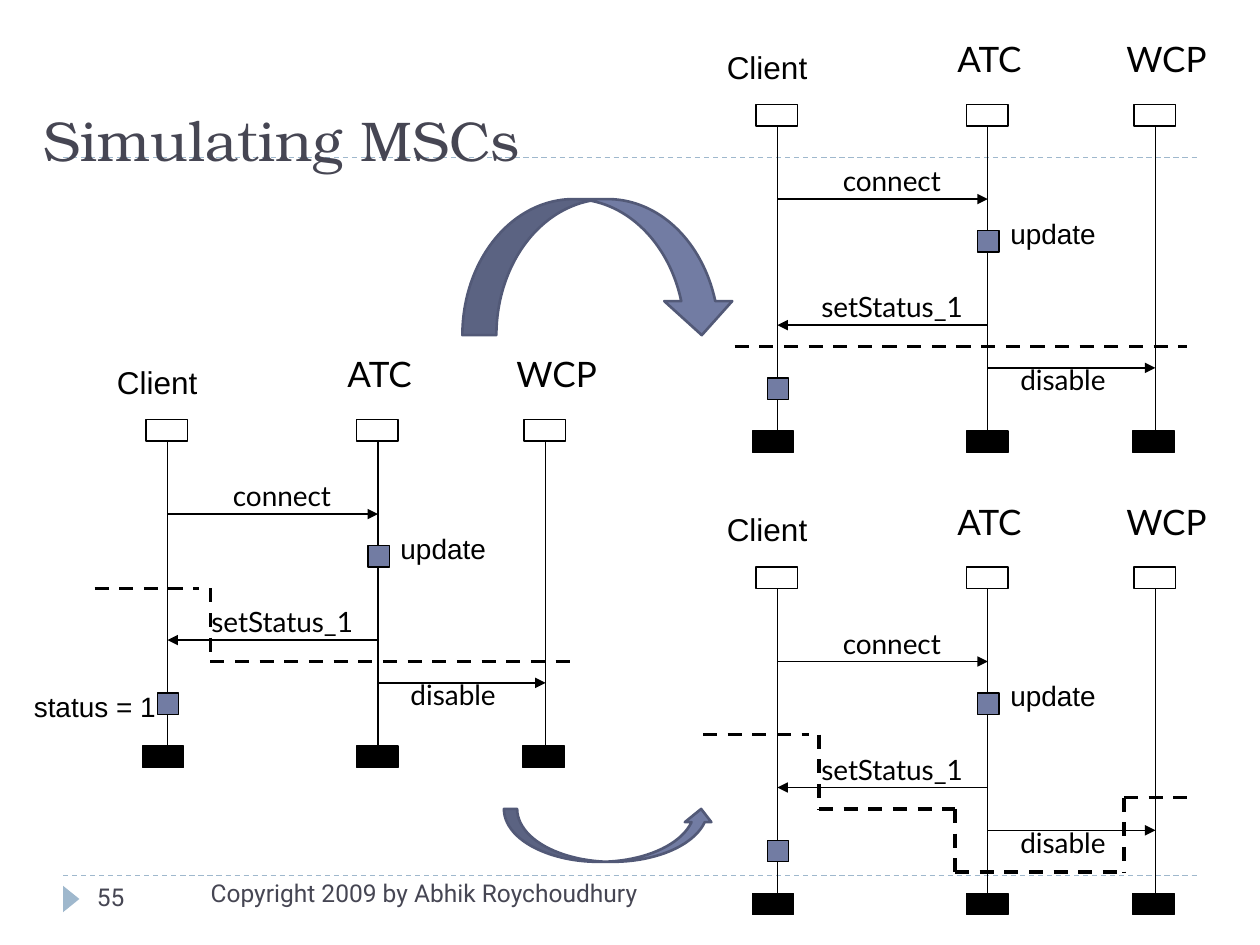
from lxml import etree
from pptx import Presentation
from pptx.dml.color import RGBColor
from pptx.enum import dml, shapes, text
from pptx.oxml import ns
from pptx.util import Inches, Pt

COLORS = {"ink": "000000", "heading": "464653", "rule": "9FB8CD",
          "action": "727CA3", "edge": "525977"}

deck = Presentation()
deck.slide_width, deck.slide_height = Inches(10), Inches(7.5)
slide = deck.slides.add_slide(deck.slide_layouts[6])


def add_line(x1, y1, x2, y2, color="ink", width=0.75, dashed=False, arrow=False):
    connector = slide.shapes.add_connector(
        shapes.MSO_CONNECTOR.STRAIGHT, Inches(x1), Inches(y1), Inches(x2), Inches(y2))
    connector.line.color.rgb = RGBColor.from_string(COLORS[color])
    connector.line.width = Pt(width)
    if dashed:
        connector.line.dash_style = dml.MSO_LINE.DASH
    if arrow:
        etree.SubElement(connector.line._get_or_add_ln(), ns.qn("a:tailEnd"), type="triangle")
    etree.SubElement(connector._element.spPr, ns.qn("a:effectLst"))


def add_label(words, x, y, w, h, size, font, color="ink",
              align=text.PP_ALIGN.LEFT, anchor=text.MSO_ANCHOR.TOP):
    frame = slide.shapes.add_textbox(Inches(x), Inches(y), Inches(w), Inches(h)).text_frame
    frame_format = {"word_wrap": True, "vertical_anchor": anchor,
                    "margin_left": Inches(0.1), "margin_right": Inches(0.1),
                    "margin_top": Inches(0.05), "margin_bottom": Inches(0.05)}
    for name, value in frame_format.items():
        setattr(frame, name, value)
    line = frame.paragraphs[0]
    line.text = words
    line.alignment = align
    for name, value in {"size": Pt(size), "name": font}.items():
        setattr(line.font, name, value)
    line.font.color.rgb = RGBColor.from_string(COLORS[color])


for rule_y in (6.95, 1.25):
    add_line(0.5, rule_y, 9.5, rule_y, color="rule", dashed=True)

add_label("Simulating MSCs", 0.25, 0.17, 8.5, 1.25, 32, "TeX Gyre Bonum", "heading",
          anchor=text.MSO_ANCHOR.BOTTOM)
add_label("Copyright 2009 by Abhik Roychoudhury", 1.33, 6.92, 3.83, 0.4, 14, "Roboto",
          "heading", text.PP_ALIGN.RIGHT)
add_label("55", 0.67, 6.95, 2.17, 0.4, 14, "Roboto", "heading")

RECT = shapes.MSO_SHAPE.RECTANGLE
charts = [(1.33, 3.33), (6.17, 0.83), (6.17, 4.5)]
lifelines = [0, 1.67, 3]
ends = [-0.2, 1.5, 2.82]
messages = [(0, 1.67, 0.75), (1.67, 0, 1.75), (1.67, 3, 2.09)]
labels = [
    ("Client", -0.5, -0.5, 1, 0.4, 18, "Arial"),
    ("ATC", 1.33, -0.58, 0.83, 0.44, 20, "Lato"),
    ("WCP", 2.67, -0.58, 0.92, 0.44, 20, "Lato"),
    ("connect", 0.42, 0.42, 1.08, 0.37, 16, "Lato"),
    ("setStatus_1", 0.25, 1.42, 1.67, 0.37, 16, "Lato"),
    ("disable", 1.83, 2, 1, 0.37, 16, "Lato"),
    ("update", 1.75, 0.84, 1.08, 0.37, 16, "Arial"),
]
actions = [(0, 2.17), (1.67, 1)]

blocks = [
    (shapes.MSO_SHAPE.ISOSCELES_TRIANGLE, 0.46, 7.07, 0.21, 0.13, "rule", None, 0, 90),
    (shapes.MSO_SHAPE.CURVED_UP_ARROW, 4, 6.42, 1.67, 0.42, "action", "edge", 1.5, 0),
    (shapes.MSO_SHAPE.CURVED_DOWN_ARROW, 3.67, 1.58, 2.17, 1.08, "action", "edge", 1.5, 0),
]
for left, top in charts:
    for offset, end in zip(lifelines, ends):
        add_line(left + offset, top + 0.17, left + offset, top + 2.59)
        blocks.append((RECT, left + offset - 0.17, top, 0.33, 0.17, None, "ink", 0.75, 0))
        blocks.append((RECT, left + end, top + 2.59, 0.33, 0.17, "ink", "ink", 0.75, 0))
    for start, finish, drop in messages:
        add_line(left + start, top + drop, left + finish, top + drop, arrow=True)
    for words, dx, dy, *style in labels:
        add_label(words, left + dx, top + dy, *style)
    for dx, dy in actions:
        blocks.append((RECT, left + dx - 0.08, top + dy, 0.17, 0.17, "action", "ink", 0.75, 0))
add_label("status = 1", 0.17, 5.42, 1.75, 0.37, 16, "Arial")

for preset, x, y, w, h, fill, edge, width, turn in blocks:
    block = slide.shapes.add_shape(preset, Inches(x), Inches(y), Inches(w), Inches(h))
    block.shadow.inherit = False
    block.rotation = turn
    if fill:
        block.fill.solid()
        block.fill.fore_color.rgb = RGBColor.from_string(COLORS[fill])
    else:
        block.fill.background()
    if edge:
        block.line.color.rgb = RGBColor.from_string(COLORS[edge])
        block.line.width = Pt(width)
    else:
        block.line.fill.background()

cuts = [
    (0.75, 4.67, 1.58, 4.67), (1.67, 4.67, 1.67, 5.25), (1.67, 5.25, 4.58, 5.25),
    (5.83, 2.75, 9.42, 2.75),
    (5.58, 5.83, 6.42, 5.83), (6.5, 5.83, 6.5, 6.42), (6.5, 6.42, 7.58, 6.42),
    (7.58, 6.42, 7.58, 6.92), (7.58, 6.92, 8.92, 6.92), (8.92, 6.33, 8.92, 6.92),
    (8.92, 6.33, 9.5, 6.33),
]
for cut in cuts:
    add_line(*cut, width=2, dashed=True)

deck.save("out.pptx")
